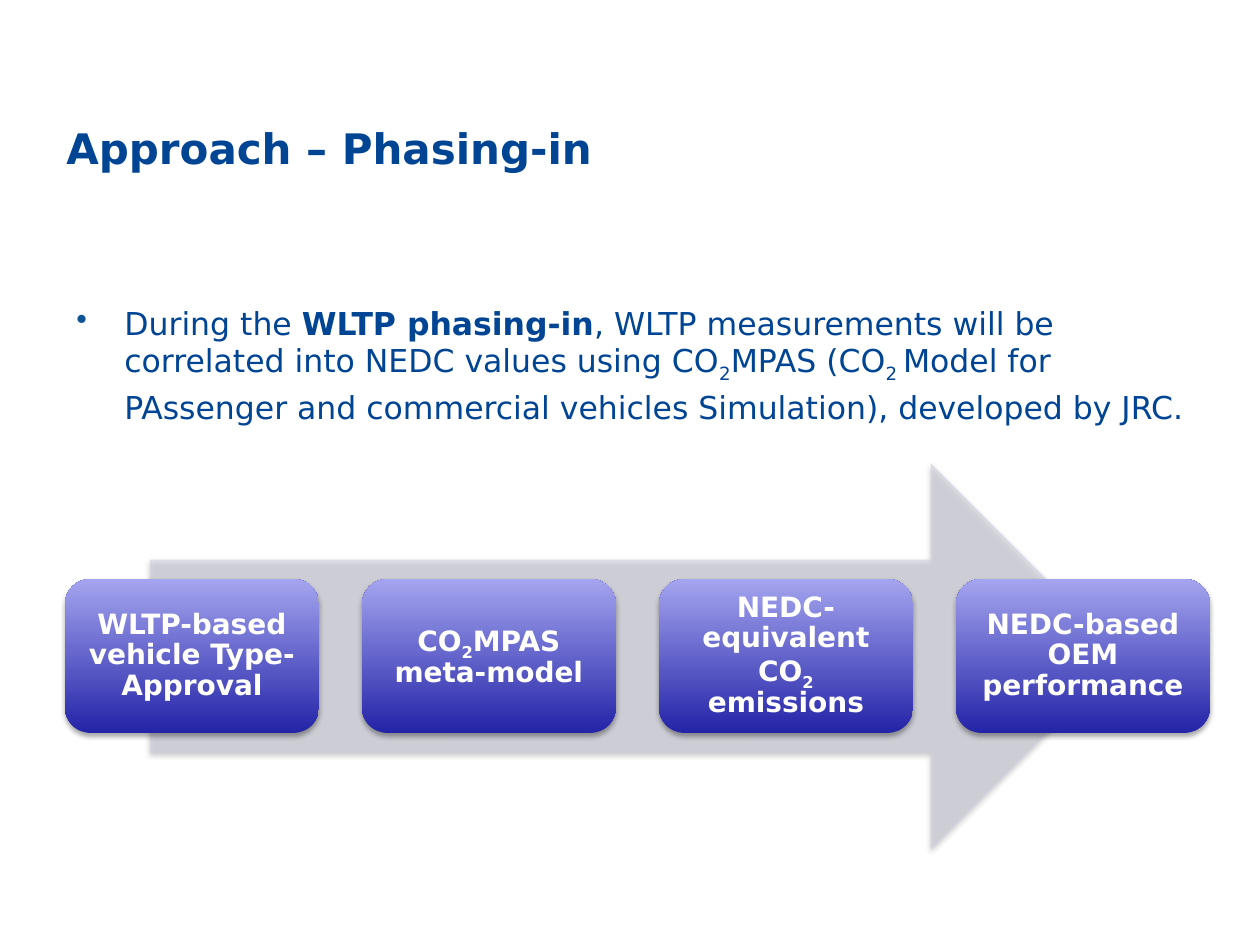
"""Build the phasing-in slide: a title, one bullet and a four-step arrow."""
from lxml import etree
from pptx import Presentation
from pptx.dml.color import RGBColor
from pptx.enum.shapes import MSO_SHAPE
from pptx.enum.text import MSO_ANCHOR, PP_ALIGN
from pptx.oxml import parse_xml
from pptx.oxml.ns import nsdecls, qn
from pptx.util import Pt

ARROW, ROUND = MSO_SHAPE.RIGHT_ARROW, MSO_SHAPE.ROUNDED_RECTANGLE
TOP, MIDDLE, CENTER = MSO_ANCHOR.TOP, MSO_ANCHOR.MIDDLE, PP_ALIGN.CENTER
BLUE = RGBColor(0x00, 0x44, 0x94)
WHITE = RGBColor(0xFF, 0xFF, 0xFF)
GREY = RGBColor(0xCE, 0xCE, 0xDE)
DARK = RGBColor(0x24, 0x24, 0xA8)
LIGHT = RGBColor(0xA4, 0xA4, 0xEF)
DOT = RGBColor(0x0F, 0x54, 0x94)
FACE = "DejaVu Sans"
PX = 914400 / 126

TITLE = [("Approach – Phasing-in", "")]
BODY = [
    ("During the ", ""),
    ("WLTP phasing-in", "bold"),
    (", WLTP measurements will be correlated into NEDC values using CO", ""),
    ("2", "sub"),
    ("MPAS (CO", ""),
    ("2 ", "sub"),
    ("Model for PAssenger and commercial vehicles Simulation), developed by JRC.", ""),
]
STEPS = [
    [("WLTP-based vehicle Type-Approval", "")],
    [("CO", ""), ("2", "sub"), ("MPAS meta-model", "")],
    [("NEDC-equivalent CO", ""), ("2", "sub"), (" emissions", "")],
    [("NEDC-based OEM performance", "")],
]

TITLE_AT = (54, 116, 1134, 128)
BODY_AT = (64, 294, 1134, 500)
ARROW_AT = (150, 463, 974, 387)
STEP_AT = (65, 579, 254, 154)
PITCH = 297
PAD = 9
INDENT = 48

TITLE_FONT = {"name": FACE, "size": Pt(24), "bold": True}
BODY_FONT = {"name": FACE, "size": Pt(18), "bold": False}
STEP_FONT = {"name": FACE, "size": Pt(16), "bold": True}
TEXT_FRAME = {"word_wrap": True, "vertical_anchor": TOP}
STEP_FRAME = {"word_wrap": True, "vertical_anchor": MIDDLE}
STEP_FRAME.update({"margin_" + side: round(PAD * PX)
                   for side in ("left", "top", "right", "bottom")})
BODY_PARA = {"line_spacing": Pt(24)}
STEP_PARA = {"alignment": CENTER, "line_spacing": 0.9}


def emu(box):
    return [round(n * PX) for n in box]


def apply(item, values):
    for key, value in values.items():
        setattr(item, key, value)


def write(shape, runs, font, color, frame, para):
    apply(shape.text_frame, frame)
    line = shape.text_frame.paragraphs[0]
    apply(line, para)
    for text, style in runs:
        run = line.add_run()
        run.text = text
        apply(run.font, font)
        run.font.color.rgb = color
        if style == "bold":
            run.font.bold = True
        elif style == "sub":
            run.font._element.set("baseline", "-25000")
    return line


def bullet(line):
    props = line._p.get_or_add_pPr()
    props.set("marL", str(round(INDENT * PX)))
    props.set("indent", str(-round(INDENT * PX)))
    color = etree.SubElement(props, qn("a:buClr"))
    etree.SubElement(color, qn("a:srgbClr"), val=str(DOT))
    etree.SubElement(props, qn("a:buChar"), char="•")


def block(slide, kind, box):
    shape = slide.shapes.add_shape(kind, *emu(box))
    shape.line.fill.background()
    shape._element.spPr.append(parse_xml(
        f'<a:effectLst {nsdecls("a")}>'
        f'<a:outerShdw blurRad="{Pt(3.1)}" dist="{Pt(1.8)}" dir="5400000" rotWithShape="0">'
        '<a:srgbClr val="000000"><a:alpha val="35000"/></a:srgbClr>'
        '</a:outerShdw></a:effectLst>'))
    return shape


def main():
    deck = Presentation()
    deck.slide_width, deck.slide_height = emu((1260, 945))
    slide = deck.slides.add_slide(deck.slide_layouts[6])

    title = slide.shapes.add_textbox(*emu(TITLE_AT))
    write(title, TITLE, TITLE_FONT, BLUE, TEXT_FRAME, {})
    body = slide.shapes.add_textbox(*emu(BODY_AT))
    bullet(write(body, BODY, BODY_FONT, BLUE, TEXT_FRAME, BODY_PARA))

    arrow = block(slide, ARROW, ARROW_AT)
    arrow.fill.solid()
    arrow.fill.fore_color.rgb = GREY
    tint = arrow._element.spPr.find(".//" + qn("a:srgbClr"))
    etree.SubElement(tint, qn("a:alpha"), val="57000")

    left, top, width, height = STEP_AT
    for i, runs in enumerate(STEPS):
        step = block(slide, ROUND, (left + i * PITCH, top, width, height))
        step.fill.gradient()
        step.fill.gradient_angle = 90
        for stop, color in zip(step.fill.gradient_stops, (DARK, LIGHT)):
            stop.color.rgb = color
        write(step, runs, STEP_FONT, WHITE, STEP_FRAME, STEP_PARA)

    deck.save("out.pptx")


if __name__ == "__main__":
    main()
